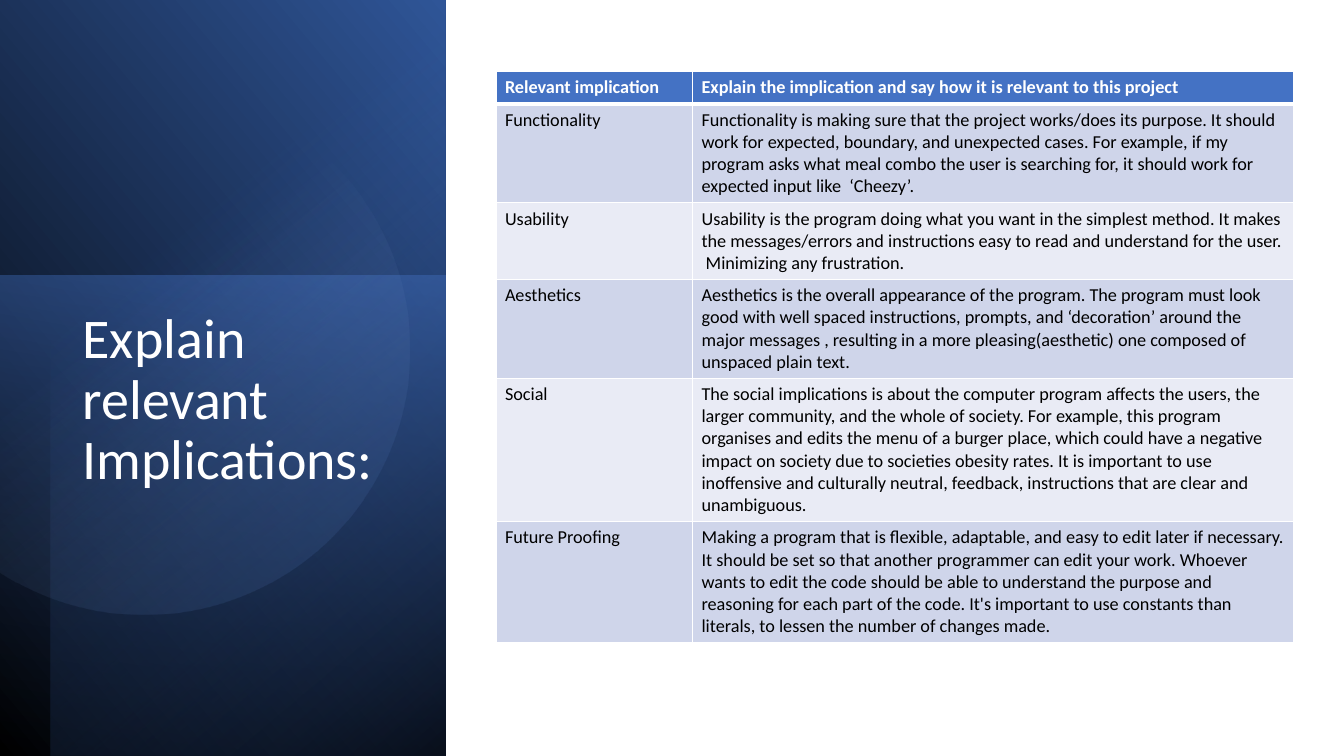
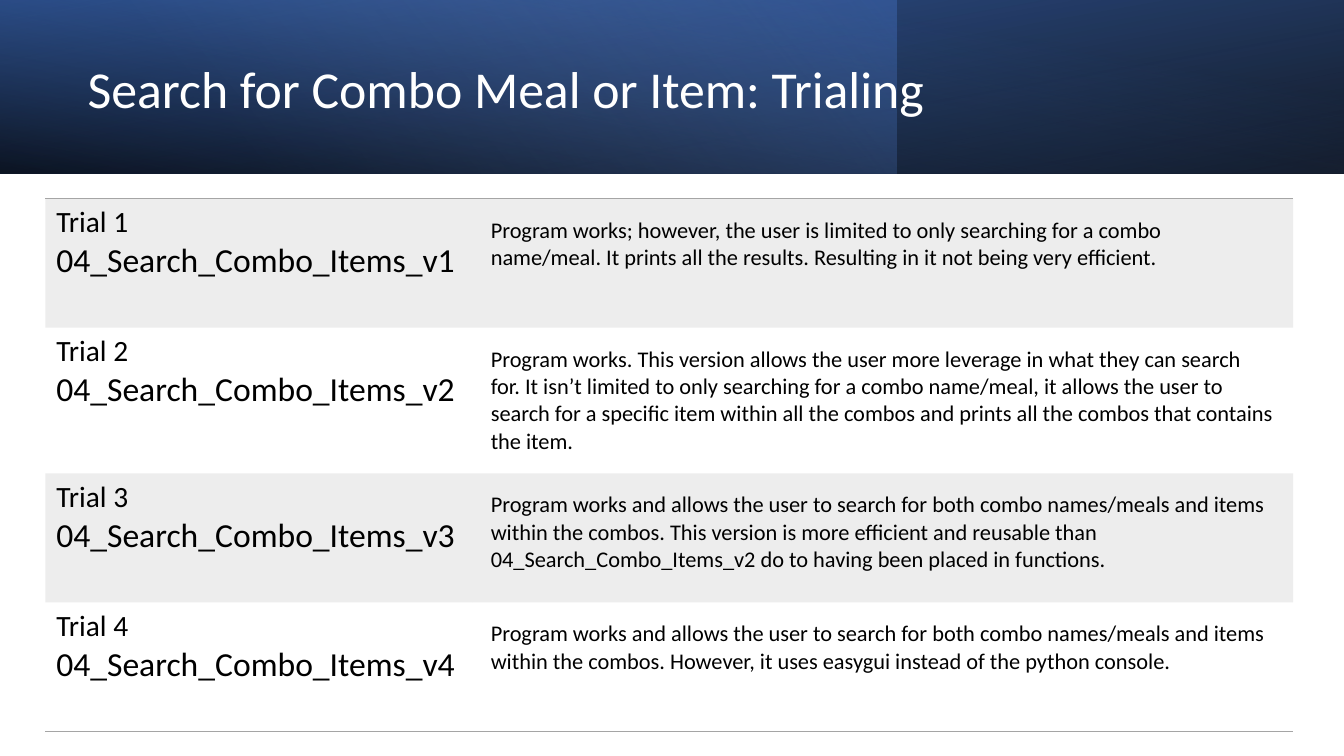
from math import acos, cos, pi, sin

from lxml.etree import SubElement
from pptx import Presentation
from pptx.dml.color import RGBColor
from pptx.enum.shapes import MSO_SHAPE as Preset
from pptx.enum.text import MSO_ANCHOR as Anchor, MSO_AUTO_SIZE as AutoSize, PP_ALIGN as Align
from pptx.oxml.ns import qn
from pptx.util import Inches, Pt

SLIDE_WIDTH, SLIDE_HEIGHT = Inches(13.33), Inches(7.5)
FONT = "Calibri"

BLACK = RGBColor(0x00, 0x00, 0x00)
WHITE = RGBColor(0xFF, 0xFF, 0xFF)
BLUE = RGBColor(0x44, 0x72, 0xC4)
DEEP_BLUE = RGBColor(0x2F, 0x55, 0x97)
NAVY = RGBColor(0x20, 0x38, 0x64)
PALE_BLUE = RGBColor(0x8F, 0xAA, 0xDC)
BAND_DARK = RGBColor(0xCF, 0xD5, 0xEA)
BAND_LIGHT = RGBColor(0xE9, 0xEB, 0xF5)
GREY = RGBColor(0xA5, 0xA5, 0xA5)

IMPLICATIONS = [
    ("Relevant implication",
     "Explain the implication and say how it is relevant to this project"),
    ("Functionality",
     "Functionality is making sure that the project works/does its purpose. It should work for "
     "expected, boundary, and unexpected cases. For example, if my program asks what meal combo "
     "the user is searching for, it should work for expected input like  ‘Cheezy’."),
    ("Usability",
     "Usability is the program doing what you want in the simplest method. It makes the "
     "messages/errors and instructions easy to read and understand for the user.  Minimizing "
     "any frustration."),
    ("Aesthetics",
     "Aesthetics is the overall appearance of the program. The program must look good with well "
     "spaced instructions, prompts, and ‘decoration’ around the major messages , resulting in a "
     "more pleasing(aesthetic) one composed of unspaced plain text."),
    ("Social",
     "The social implications is about the computer program affects the users, the larger "
     "community, and the whole of society. For example, this program organises and edits the "
     "menu of a burger place, which could have a negative impact on society due to societies "
     "obesity rates. It is important to use inoffensive and culturally neutral, feedback, "
     "instructions that are clear and unambiguous."),
    ("Future Proofing",
     "Making a program that is flexible, adaptable, and easy to edit later if necessary. It "
     "should be set so that another programmer can edit your work. Whoever wants to edit the "
     "code should be able to understand the purpose and reasoning for each part of the code. "
     "It's important to use constants than literals, to lessen the number of changes made."),
]

TRIALS = [
    "Program works; however, the user is limited to only searching for a combo name/meal. It "
    "prints all the results. Resulting in it not being very efficient.",
    "Program works. This version allows the user more leverage in what they can search for. It "
    "isn’t limited to only searching for a combo name/meal, it allows the user to search for a "
    "specific item within all the combos and prints all the combos that contains the item.",
    "Program works and allows the user to search for both combo names/meals and items within "
    "the combos. This version is more efficient and reusable than 04_Search_Combo_Items_v2 do "
    "to having been placed in functions.",
    "Program works and allows the user to search for both combo names/meals and items within "
    "the combos. However, it uses easygui instead of the python console.",
]


def across(percent):
    return round(SLIDE_WIDTH * percent / 100)


def down(percent):
    return round(SLIDE_HEIGHT * percent / 100)


def place(left, top, width, height):
    """Turn shares of the slide, in percent, into lengths."""
    return across(left), down(top), across(width), down(height)


def set_format(target, values):
    for name, value in values.items():
        setattr(target, name, value)


def set_opacity(color_element, percent):
    if percent < 100:
        SubElement(color_element, qn("a:alpha")).set("val", str(percent * 1000))


def paint_gradient(shape, stops, angle):
    """Fill with two (position, colour, opacity) stops; the angle runs clockwise."""
    shape.shadow.inherit = False
    shape.line.fill.background()
    shape.fill.gradient()
    shape.fill.gradient_angle = 360 - angle
    for stop, (position, color, _) in zip(shape.fill.gradient_stops, stops):
        stop.position = position / 100
        stop.color.rgb = color
    colors = shape._element.spPr.iter(qn("a:srgbClr"))
    for element, (_, _, opacity) in zip(list(colors), stops):
        set_opacity(element, opacity)


def add_panel(slide, box, stops, angle, rotation=0, flip=False):
    """Add a gradient rectangle that covers box after its rotation."""
    left, top, width, height = place(*box)
    if rotation % 180 == 90:
        left += (width - height) // 2
        top += (height - width) // 2
        width, height = height, width
    panel = slide.shapes.add_shape(Preset.RECTANGLE, left, top, width, height)
    panel.rotation = rotation
    if flip:
        panel._element.spPr.find(qn("a:xfrm")).set("flipH", "1")
    paint_gradient(panel, stops, angle)


def add_glow_circle(slide, center_x, center_y, radius, stops, angle, steps=120):
    """Add a circle that is cut off at the left edge of the slide."""
    cut = acos(-center_x / radius)
    turns = [-cut + 2 * cut * step / steps for step in range(steps + 1)]
    points = [(round(center_x + radius * cos(turn)), round(center_y + radius * sin(turn)))
              for turn in turns]
    builder = slide.shapes.build_freeform(*points[0])
    builder.add_line_segments(points[1:], close=True)
    paint_gradient(builder.convert_to_shape(), stops, angle)


def write(para, text, size, color=BLACK, bold=False):
    span = para.add_run()
    span.text = text
    set_format(span.font, {"name": FONT, "size": Pt(size), "bold": bold})
    span.font.color.rgb = color


def set_title(slide, text, box, size, anchor):
    title = slide.shapes.title
    set_format(title, dict(zip(("left", "top", "width", "height"), place(*box))))
    set_format(title.text_frame, {"word_wrap": True, "auto_size": AutoSize.NONE,
                                  "vertical_anchor": anchor})
    para = title.text_frame.paragraphs[0]
    set_format(para, {"alignment": Align.LEFT, "line_spacing": 0.9})
    write(para, text, size, WHITE)
    slide.shapes._spTree.append(title._element)


def add_grid(slide, left, top, columns, rows):
    frame = slide.shapes.add_table(len(rows), len(columns),
                                   *place(left, top, sum(columns), sum(rows)))
    table = frame.table
    for column, width in zip(table.columns, columns):
        column.width = across(width)
    for row, height in zip(table.rows, rows):
        row.height = down(height)
    return table


def set_borders(cell, borders):
    """Draw the named sides as (colour, points); leave the others bare."""
    properties = cell._tc.get_or_add_tcPr()
    for side in "LRTB":
        line = SubElement(properties, qn("a:ln" + side))
        if side not in borders:
            SubElement(line, qn("a:noFill"))
            continue
        color, points = borders[side]
        line.set("w", str(Pt(points)))
        fill = SubElement(line, qn("a:solidFill"))
        SubElement(fill, qn("a:srgbClr")).set("val", str(color))


def style_cell(cell, borders, insets, color=None, opacity=100):
    across_inset, down_inset = map(Inches, insets)
    set_format(cell, {"margin_left": across_inset, "margin_right": across_inset,
                      "margin_top": down_inset, "margin_bottom": down_inset})
    set_borders(cell, borders)
    if color is None:
        cell.fill.background()
        return
    cell.fill.solid()
    cell.fill.fore_color.rgb = color
    fill = cell._tc.tcPr.find(qn("a:solidFill"))
    set_opacity(fill.find(qn("a:srgbClr")), opacity)


def add_implications_table(slide):
    table = add_grid(slide, 36.9, 9.47, [14.63, 44.7], [4, 12.93, 10.1, 12.93, 18.8, 16])
    for row, texts in enumerate(IMPLICATIONS):
        header = row == 0
        fill = BLUE if header else (BAND_LIGHT, BAND_DARK)[row % 2]
        borders = dict.fromkeys("LRTB", (WHITE, 1))
        if header:
            borders["B"] = (WHITE, 3)
        elif row == 1:
            borders["T"] = (WHITE, 3)
        for column, text in enumerate(texts):
            cell = table.cell(row, column)
            style_cell(cell, borders, (0.09, 0.05), fill)
            write(cell.text_frame.paragraphs[0], text, 13, WHITE if header else BLACK, header)


def add_trials_table(slide):
    table = add_grid(slide, 3.37, 26.27, [31.8, 61.05], [17.07, 19.2, 17.07, 17.07])
    edges = {0: {"T": (GREY, 1)}, len(TRIALS) - 1: {"B": (GREY, 1)}}
    for row, result in enumerate(TRIALS):
        fill = GREY if row % 2 == 0 else None
        name, outcome = table.cell(row, 0), table.cell(row, 1)
        for cell, insets in ((name, (0.11, 0.06)), (outcome, (0.18, 0.18))):
            style_cell(cell, edges.get(row, {}), insets, fill, 20)
        write(name.text_frame.paragraphs[0], f"Trial {row + 1}", 21)
        write(name.text_frame.add_paragraph(), f"04_Search_Combo_Items_v{row + 1}", 24)
        write(outcome.text_frame.paragraphs[0], result, 16)


def build_implications(slide):
    width = 33.15
    add_panel(slide, (0, 0, width, 100), [(0, BLACK, 100), (100, DEEP_BLUE, 100)], 310, 90, True)
    add_panel(slide, (0, 36.5, width, 63.5), [(0, BLUE, 50), (100, NAVY, 0)], 190, 270)
    add_panel(slide, (3.75, 0, width - 3.75, 100), [(0, BLACK, 59), (69, BLUE, 0)],
              220, 270, True)
    add_glow_circle(slide, across(10.73), down(46.27), down(35.07),
                    [(39, PALE_BLUE, 0), (100, DEEP_BLUE, 26)], 52)
    set_title(slide, "Explain relevant Implications:", (5.4, 40.4, 23.63, 44.8), 40, Anchor.TOP)
    add_implications_table(slide)


def build_trials(slide):
    height = 22.93
    add_panel(slide, (0, 0, 100, height), [(0, BLACK, 96), (100, DEEP_BLUE, 100)], 100, 180, True)
    add_panel(slide, (0, 0, 66.7, height), [(0, BLUE, 41), (74, PALE_BLUE, 0)], 140)
    add_panel(slide, (0, 0, 100, height), [(0, BLACK, 63), (78, BLUE, 15)], 260, flip=True)
    set_title(slide, "Search for Combo Meal or Item: Trialing", (5.77, 3.6, 78.53, 16.93),
              37, Anchor.MIDDLE)
    add_trials_table(slide)


def main():
    deck = Presentation()
    set_format(deck, {"slide_width": SLIDE_WIDTH, "slide_height": SLIDE_HEIGHT})
    title_only = deck.slide_layouts[5]
    for build in (build_implications, build_trials):
        build(deck.slides.add_slide(title_only))
    deck.save("out.pptx")


if __name__ == "__main__":
    main()
